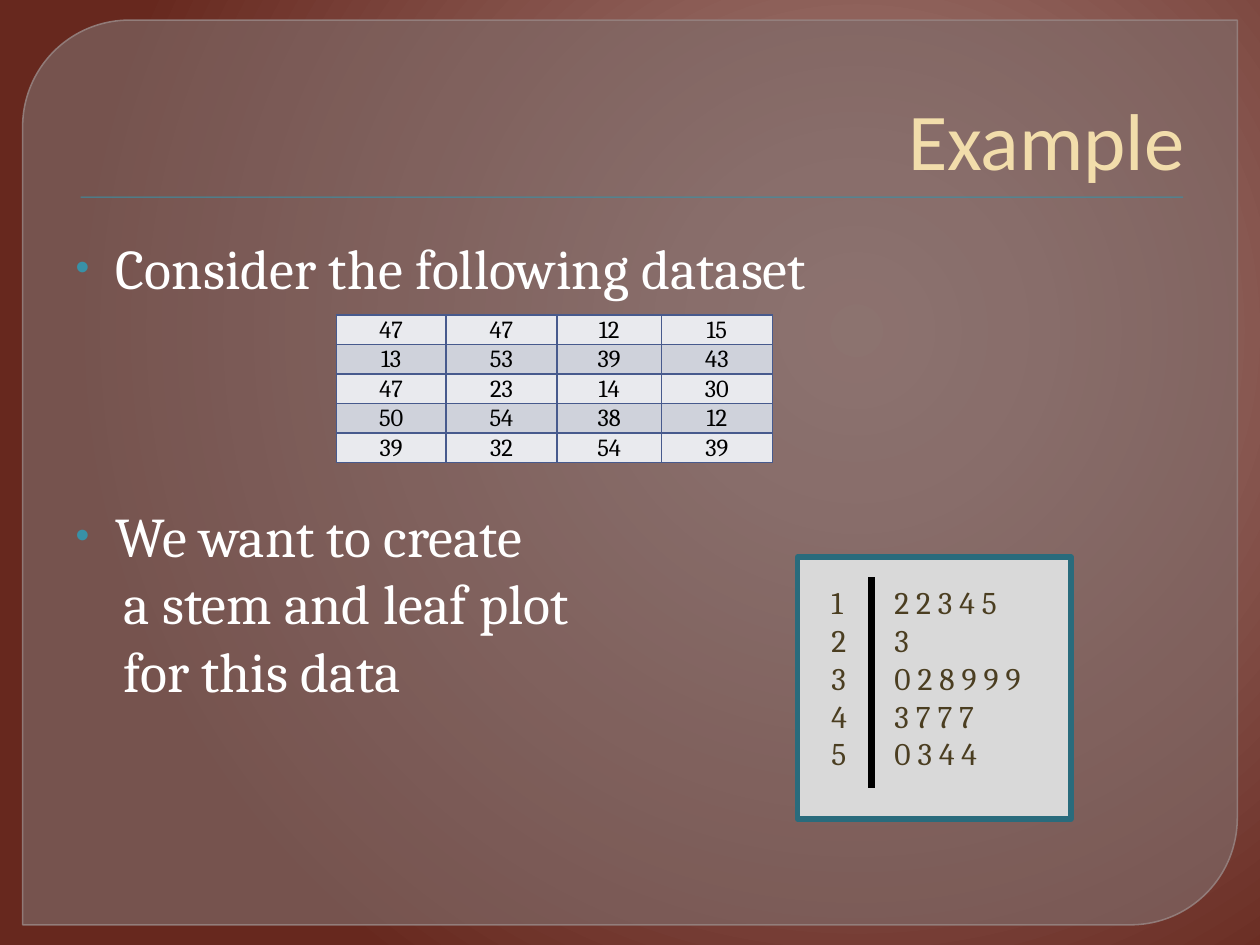
"""Build a slide that introduces a stem and leaf plot for a small dataset."""
from pptx import Presentation
from pptx.dml.color import RGBColor
from pptx.enum.shapes import MSO_CONNECTOR, MSO_SHAPE
from pptx.enum.text import MSO_ANCHOR, MSO_AUTO_SIZE, PP_ALIGN
from pptx.oxml import parse_xml
from pptx.oxml.ns import nsdecls, qn
from pptx.util import Inches, Pt

TITLE = "Example"
BODY = [
    ("Consider the following dataset", True, 0),
    ("We want to create", True, 115),
    ("a stem and leaf plot", False, 0),
    ("for this data", False, 0),
]
DATASET = [
    (47, 47, 12, 15),
    (13, 53, 39, 43),
    (47, 23, 14, 30),
    (50, 54, 38, 12),
    (39, 32, 54, 39),
]
COLUMN_WIDTHS = [0.87, 0.88, 0.83, 0.88]
ROW_HEIGHT = 0.18
STEM_LEAVES = {
    "1": "2 2 3 4 5",
    "2": "3",
    "3": "0 2 8 9 9 9",
    "4": "3 7 7 7",
    "5": "0 3 4 4",
}
THEME = {
    "heading": "Calibri", "text": "Cambria",
    "title_size": 46, "body_size": 32, "plot_size": 18, "table_size": 14,
    "title": "F2DDAB", "body": "FFFFFF", "plot": "4B3E21", "ink": "000000",
    "accent": "3891A7", "panel": "7F6B69", "panel_line": "968381",
    "card": "D9D9D9", "card_line": "296B7C",
    "bands": ("E9EAEE", "CFD2DB"), "grid": "475A8D",
    "background": [(0, "A7827D"), (20, "9C7570"), (100, "67281E")],
}


def rgb(name):
    return RGBColor.from_string(THEME.get(name, name))


def box(left, top, width, height):
    return [Inches(length) for length in (left, top, width, height)]


def move(shape, *place):
    shape.left, shape.top, shape.width, shape.height = box(*place)


def write(paragraph, text, *, size, color, font="text", align=PP_ALIGN.LEFT,
          margin=0, indent=0, before=0, bullet=False):
    properties = paragraph._p.get_or_add_pPr()
    properties.set("marL", str(Inches(margin)))
    properties.set("indent", str(Inches(indent)))
    marks = [f'<a:buClr {nsdecls("a")}><a:srgbClr val="{THEME["accent"]}"/></a:buClr>',
             f'<a:buSzPct {nsdecls("a")} val="70000"/>',
             f'<a:buChar {nsdecls("a")} char="•"/>']
    for mark in marks if bullet else [f'<a:buNone {nsdecls("a")}/>']:
        properties.append(parse_xml(mark))
    paragraph.alignment = align
    paragraph.space_before = Pt(before)
    run = paragraph.add_run()
    run.text = text
    run.font.name = THEME[font]
    run.font.size = Pt(THEME[size])
    run.font.color.rgb = rgb(color)


def next_paragraph(frame, index):
    return frame.add_paragraph() if index else frame.paragraphs[0]


def paint_background(slide):
    slide.background.fill.gradient()
    stops = "".join(f'<a:gs pos="{position * 1000}"><a:srgbClr val="{color}"/></a:gs>'
                    for position, color in THEME["background"])
    gradient = slide.element.find(".//" + qn("a:gradFill"))
    gradient.getparent().replace(gradient, parse_xml(
        f'<a:gradFill {nsdecls("a")} rotWithShape="1"><a:gsLst>{stops}</a:gsLst>'
        '<a:path path="circle"><a:fillToRect l="68000" t="35000" r="32000" b="65000"/>'
        '</a:path></a:gradFill>'))


def add_block(shapes, kind, place, fill, line=None, width=1):
    block = shapes.add_shape(kind, *box(*place))
    block.shadow.inherit = False
    block.fill.solid()
    block.fill.fore_color.rgb = rgb(fill)
    if line:
        block.line.color.rgb = rgb(line)
        block.line.width = Pt(width)
    else:
        block.line.fill.background()
    return block


def add_frame(slide):
    panel = add_block(slide.shapes, MSO_SHAPE.ROUND_2_DIAG_RECTANGLE,
                      (0.18, 0.16, 9.64, 7.18), "panel", "panel_line", 0.87)
    panel.adjustments[0], panel.adjustments[1] = 0.118, 0
    colors = panel.element.spPr.iter(qn("a:srgbClr"))
    for color, alpha in zip(list(colors), (65, 88)):
        color.append(parse_xml(f'<a:alpha {nsdecls("a")} val="{alpha * 1000}"/>'))
    rule = add_block(slide.shapes, MSO_SHAPE.RECTANGLE, (0.64, 1.56, 8.75, 0.01), "accent")
    for part in (panel, rule):
        slide.shapes.title.element.addprevious(part.element)


def fill_placeholders(slide):
    title, body = slide.placeholders
    move(title, 0.5, 0.28, 9, 1.25)
    title.text_frame.vertical_anchor = MSO_ANCHOR.BOTTOM
    write(title.text_frame.paragraphs[0], TITLE, size="title_size", color="title",
          font="heading", align=PP_ALIGN.RIGHT, margin=0.06)
    move(body, 0.5, 1.8, 9, 4.95)
    for index, (text, bullet, before) in enumerate(BODY):
        write(next_paragraph(body.text_frame, index), text, size="body_size", color="body",
              margin=0.32 if bullet else 0.38, indent=-0.32 if bullet else 0,
              before=before, bullet=bullet)
    for part in (title, body):
        part.text_frame.auto_size = MSO_AUTO_SIZE.NONE


def add_dataset(slide):
    place = box(2.67, 2.5, sum(COLUMN_WIDTHS), ROW_HEIGHT * len(DATASET))
    table = slide.shapes.add_table(len(DATASET), len(COLUMN_WIDTHS), *place).table
    table.first_row = table.horz_banding = False
    for column, width in zip(table.columns, COLUMN_WIDTHS):
        column.width = Inches(width)
    for row_index, values in enumerate(DATASET):
        table.rows[row_index].height = Inches(ROW_HEIGHT)
        for column_index, value in enumerate(values):
            cell = table.cell(row_index, column_index)
            cell.margin_left = cell.margin_right = cell.margin_top = Inches(0.01)
            cell.margin_bottom = 0
            cell.vertical_anchor = MSO_ANCHOR.MIDDLE
            for side in "LRTB":
                cell._tc.get_or_add_tcPr().append(parse_xml(
                    f'<a:ln{side} {nsdecls("a")} w="{Pt(1)}"><a:solidFill>'
                    f'<a:srgbClr val="{THEME["grid"]}"/></a:solidFill></a:ln{side}>'))
            cell.fill.solid()
            cell.fill.fore_color.rgb = rgb(THEME["bands"][row_index % 2])
            write(cell.text_frame.paragraphs[0], str(value), size="table_size",
                  color="ink", align=PP_ALIGN.CENTER)


def add_plot(slide):
    plot = slide.shapes.add_group_shape().shapes
    add_block(plot, MSO_SHAPE.RECTANGLE, (6.33, 4.42, 2.17, 2.08), "card", "card_line", 3)
    divider = plot.add_connector(MSO_CONNECTOR.STRAIGHT, *box(6.92, 4.58, 6.92, 6.25))
    divider.line.color.rgb = rgb("ink")
    divider.line.width = Pt(4)
    divider.element.spPr.append(parse_xml(f'<a:effectLst {nsdecls("a")}/>'))
    for left, width, entries in ((6.5, 0.33, STEM_LEAVES), (7, 2.42, STEM_LEAVES.values())):
        frame = plot.add_textbox(*box(left, 4.58, width, 1.62)).text_frame
        frame.word_wrap = True
        frame.auto_size = MSO_AUTO_SIZE.SHAPE_TO_FIT_TEXT
        for index, entry in enumerate(entries):
            write(next_paragraph(frame, index), entry, size="plot_size", color="plot")


def main():
    deck = Presentation()
    deck.slide_width, deck.slide_height = Inches(10), Inches(7.5)
    slide = deck.slides.add_slide(deck.slide_layouts[1])
    paint_background(slide)
    add_frame(slide)
    fill_placeholders(slide)
    add_dataset(slide)
    add_plot(slide)
    deck.save("out.pptx")


if __name__ == "__main__":
    main()
